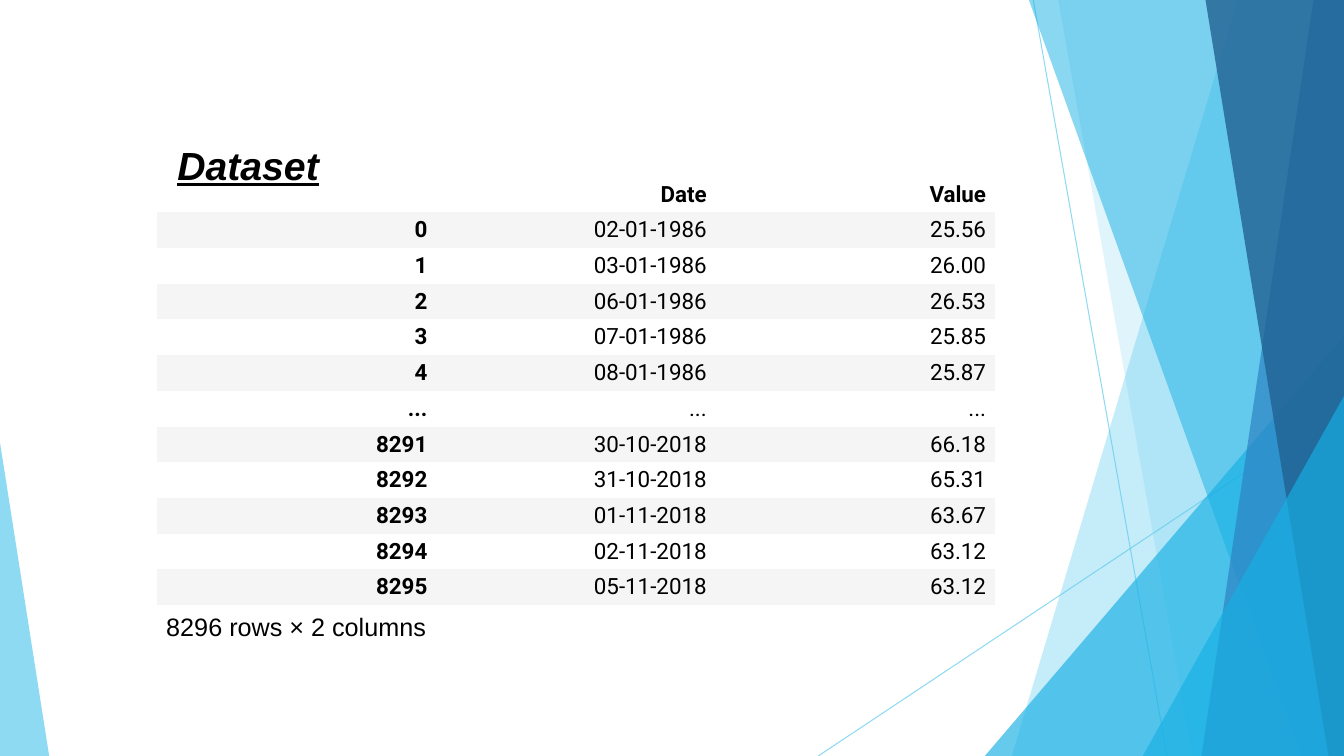
from lxml import etree
from pptx import Presentation
from pptx.dml.color import RGBColor
from pptx.enum.shapes import MSO_CONNECTOR, MSO_SHAPE
from pptx.enum.text import MSO_ANCHOR, PP_ALIGN
from pptx.oxml.ns import qn
from pptx.util import Cm, Pt

STRAIGHT = MSO_CONNECTOR.STRAIGHT
TRIANGLE = MSO_SHAPE.ISOSCELES_TRIANGLE
MIDDLE = MSO_ANCHOR.MIDDLE
LEFT, RIGHT = PP_ALIGN.LEFT, PP_ALIGN.RIGHT

BLACK = RGBColor(0x00, 0x00, 0x00)
WHITE = RGBColor(0xFF, 0xFF, 0xFF)
GREY = RGBColor(0xF5, 0xF5, 0xF5)
SKY = RGBColor(0x5F, 0xCB, 0xEF)
CYAN = RGBColor(0x17, 0xB0, 0xE4)
BLUE = RGBColor(0x2E, 0x83, 0xC3)
NAVY = RGBColor(0x22, 0x62, 0x92)

TITLE = "Dataset"
SUMMARY = "8296 rows × 2 columns"
ROWS = [
    ("", "Date", "Value"),
    ("0", "02-01-1986", "25.56"),
    ("1", "03-01-1986", "26.00"),
    ("2", "06-01-1986", "26.53"),
    ("3", "07-01-1986", "25.85"),
    ("4", "08-01-1986", "25.87"),
    ("...", "...", "..."),
    ("8291", "30-10-2018", "66.18"),
    ("8292", "31-10-2018", "65.31"),
    ("8293", "01-11-2018", "63.67"),
    ("8294", "02-11-2018", "63.12"),
    ("8295", "05-11-2018", "63.12"),
]

# Lengths in centimetres
WIDTH, HEIGHT = 33.87, 19.05
RAYS = [((26.04, 0), (29.41, HEIGHT)), ((WIDTH, 10.24), (20.62, HEIGHT))]
# Bands reach the right edge: ("band", top x, bottom x, colour, opacity %)
# Wedges reach the bottom: ("wedge", left, top, width, apex, colour, opacity %)
DECOR = [
    ("band", 31.19, 25.5, SKY, 36),
    ("band", 26.67, 30.05, SKY, 20),
    ("wedge", 24.82, 8.46, 9.05, 1, CYAN, 66),
    ("band", 25.93, 32.79, CYAN, 50),
    ("band", 33.1, 30.28, BLUE, 70),
    ("band", 30.38, 33.48, NAVY, 80),
    ("wedge", 28.8, 9.98, 5.07, 1, CYAN, 66),
    ("wedge", 0, 11.15, 1.24, 0, SKY, 70),
]
TABLE_LEFT, TABLE_TOP, COL_WIDTH, ROW_HEIGHT = 3.96, 4.45, 7.04, 0.9
NO_STYLE = "{2D5ABB26-0587-4C30-8999-92F81FD0307C}"


def set_opacity(fill_parent, percent):
    color = next(fill_parent.iter(qn("a:srgbClr")))
    etree.SubElement(color, qn("a:alpha")).set("val", str(percent * 1000))


def write(tf, text, size=16, font="Roboto", align=LEFT, bold=False,
          italic=False, underline=False):
    p = tf.paragraphs[0]
    p.alignment = align
    r = p.add_run()
    r.text = text
    r.font.size, r.font.name = Pt(size), font
    r.font.bold, r.font.italic, r.font.underline = bold, italic, underline
    r.font.color.rgb = BLACK


def add_ray(shapes, start, end):
    line = shapes.add_connector(STRAIGHT, *map(Cm, start + end))
    line.line.color.rgb = SKY
    line.line.width = Pt(0.75)
    sp_pr = line._element.spPr
    set_opacity(sp_pr, 70)
    etree.SubElement(sp_pr, qn("a:effectLst"))


def add_band(shapes, top_x, bottom_x):
    corners = [(WIDTH, 0), (WIDTH, HEIGHT), (bottom_x, HEIGHT)]
    builder = shapes.build_freeform(Cm(top_x), 0)
    builder.add_line_segments([(Cm(x), Cm(y)) for x, y in corners], close=True)
    return builder.convert_to_shape()


def add_wedge(shapes, left, top, width, apex):
    sp = shapes.add_shape(TRIANGLE, Cm(left), Cm(top), Cm(width), Cm(HEIGHT - top))
    sp.adjustments[0] = apex
    return sp


def add_decor(shapes):
    for start, end in RAYS:
        add_ray(shapes, start, end)
    for kind, *place, color, opacity in DECOR:
        sp = (add_band if kind == "band" else add_wedge)(shapes, *place)
        sp.shadow.inherit = False
        sp.fill.solid()
        sp.fill.fore_color.rgb = color
        set_opacity(sp._element.spPr, opacity)
        sp.line.fill.background()


def add_data_table(shapes):
    n_rows, n_cols = len(ROWS), len(ROWS[0])
    frame = shapes.add_table(n_rows, n_cols, Cm(TABLE_LEFT), Cm(TABLE_TOP),
                             Cm(n_cols * COL_WIDTH), Cm(n_rows * ROW_HEIGHT))
    table = frame.table
    table.first_row = table.horz_banding = False
    next(frame._element.iter(qn("a:tableStyleId"))).text = NO_STYLE
    for col in table.columns:
        col.width = Cm(COL_WIDTH)
    for i, row in enumerate(ROWS):
        table.rows[i].height = Cm(ROW_HEIGHT)
        for j, text in enumerate(row):
            cell = table.cell(i, j)
            cell.fill.solid()
            cell.fill.fore_color.rgb = GREY if i % 2 else WHITE
            cell.vertical_anchor = MIDDLE
            cell.margin_top = cell.margin_bottom = 0
            cell.margin_left = cell.margin_right = Cm(0.23)
            if text:
                write(cell.text_frame, text, align=RIGHT, bold=i == 0 or j == 0)


def add_text(shapes, text, left, top, height, **fmt):
    tf = shapes.add_textbox(Cm(left), Cm(top), Cm(16.94), Cm(height)).text_frame
    tf.word_wrap = True
    write(tf, text, font="Arial", **fmt)


def main():
    prs = Presentation()
    prs.slide_width, prs.slide_height = Cm(WIDTH), Cm(HEIGHT)
    shapes = prs.slides.add_slide(prs.slide_layouts[6]).shapes
    add_decor(shapes)
    add_data_table(shapes)
    add_text(shapes, SUMMARY, 3.94, 15.27, 1.03, size=18)
    add_text(shapes, TITLE, 4.22, 3.43, 1.45, size=28,
             bold=True, italic=True, underline=True)
    prs.save("out.pptx")


if __name__ == "__main__":
    main()
